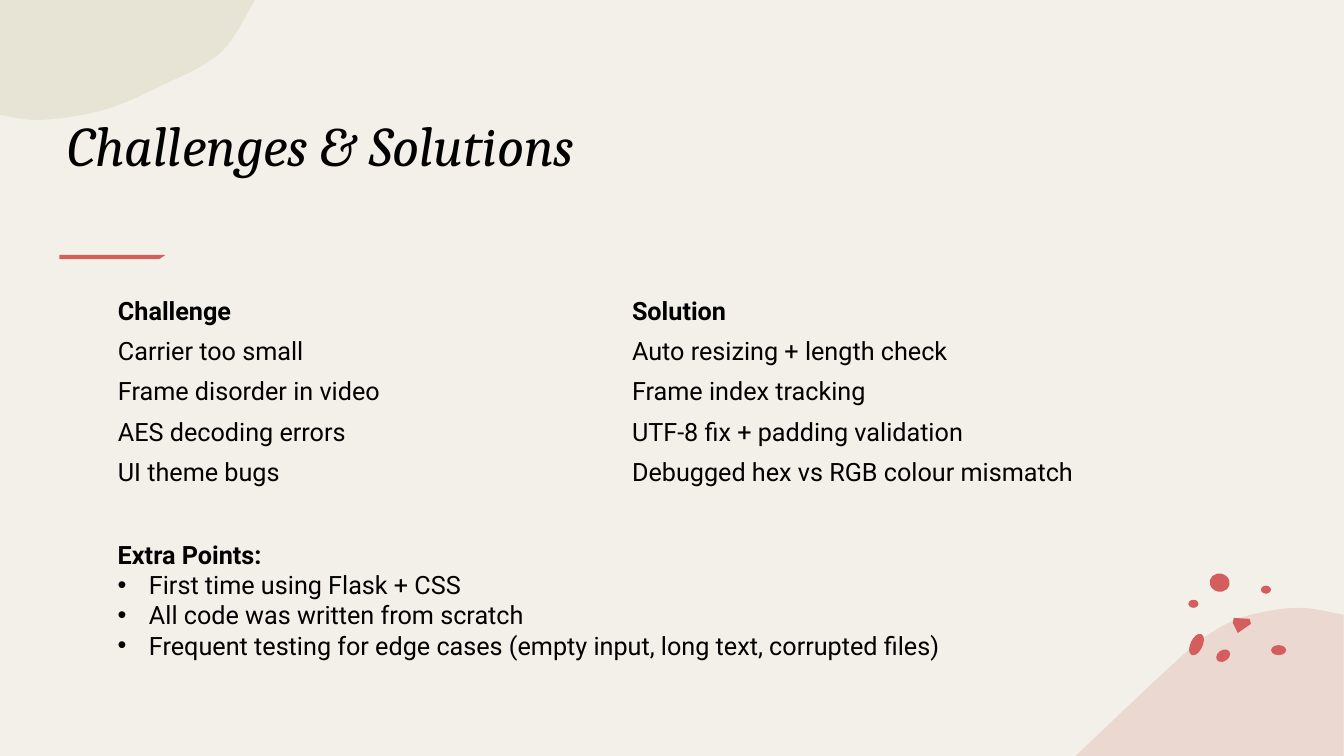
"""Build the Challenges & Solutions slide with its organic decorations."""
from lxml.etree import SubElement
from pptx import Presentation
from pptx.dml.color import RGBColor
from pptx.enum.shapes import MSO_SHAPE as Preset
from pptx.enum.text import MSO_ANCHOR as Anchor
from pptx.oxml.ns import qn
from pptx.util import Emu, Pt

PX = 9144
CURVE_STEPS = 10
CREAM = RGBColor(0xF3, 0xF0, 0xE9)
BLUSH = RGBColor(0xE5, 0xC4, 0xBA)
OLIVE = RGBColor(0xDC, 0xD9, 0xC3)
CORAL = RGBColor(0xD4, 0x5E, 0x5E)
BLACK = RGBColor(0, 0, 0)


def px(*lengths):
    return [Emu(round(length * PX)) for length in lengths]


def style(paragraph, font_name, size, bold=False, italic=False):
    font = paragraph.font
    font.name, font.size = font_name, Pt(size)
    font.bold, font.italic = bold, italic
    font.color.rgb = BLACK


prs = Presentation()
prs.slide_width, prs.slide_height = Emu(12192000), Emu(6858000)
slide = prs.slides.add_slide(prs.slide_layouts[6])
slide.background.fill.solid()
slide.background.fill.fore_color.rgb = CREAM

washes = [
    (BLUSH, (1333, 750), [(1067, 750), (1169, 654), (1203, 627), (1237, 611),
                          (1288, 603), (1333, 610)]),
    (OLIVE, (0, 0), [(253, 0), (218, 53), (158, 86), (103, 109), (41, 119), (0, 114)]),
]
decorations = []
for color, corner, knots in washes:
    outline = [corner, knots[0]]
    padded = [knots[0], *knots, knots[-1]]
    for before, start, end, after in zip(padded, padded[1:], padded[2:], padded[3:]):
        for step in range(1, CURVE_STEPS + 1):
            t = step / CURVE_STEPS
            outline.append([
                b + t / 2 * (c - a + t * (2 * a - 5 * b + 4 * c - d + t * (3 * b - a - 3 * c + d)))
                for a, b, c, d in zip(before, start, end, after)])
    decorations.append((color, outline))
decorations.append((CORAL, [(1224, 613), (1240, 614), (1241, 619), (1228, 628), (1223, 618)]))
decorations.append((CORAL, [(59, 253), (164, 253), (158, 257), (59, 257)]))

painted = []
for color, outline in decorations:
    builder = slide.shapes.build_freeform(*px(*outline[0]), scale=1.0)
    builder.add_line_segments([px(*point) for point in outline[1:]], close=True)
    painted.append((builder.convert_to_shape(), color))

speckles = [
    (1206, 645, 15, 11, -35), (1181, 628, 12, 23, 25), (1261, 640, 15, 10, 0),
    (1200, 569, 20, 18, 15), (1251, 581, 10, 8, 0), (1179, 595, 10, 8, 0),
]
for *box, angle in speckles:
    speckle = slide.shapes.add_shape(Preset.OVAL, *px(*box))
    speckle.rotation = angle
    painted.append((speckle, CORAL))

for decoration, color in painted:
    decoration.shadow.inherit = False
    decoration.line.fill.background()
    decoration.fill.solid()
    decoration.fill.fore_color.rgb = color
    if color != CORAL:
        wash_color = decoration._element.spPr.find(qn("a:solidFill"))[0]
        SubElement(wash_color, qn("a:alpha"), val="50000")

title = slide.shapes.add_textbox(*px(57, 36, 1102, 145)).text_frame
title.word_wrap = True
title.vertical_anchor = Anchor.BOTTOM
title.text = "Challenges & Solutions"
style(title.paragraphs[0], "Cambria", 40, italic=True)

pairs = [
    ("Challenge", "Solution"),
    ("Carrier too small", "Auto resizing + length check"),
    ("Frame disorder in video", "Frame index tracking"),
    ("AES decoding errors", "UTF-8 fix + padding validation"),
    ("UI theme bugs", "Debugged hex vs RGB colour mismatch"),
]
table = slide.shapes.add_table(len(pairs), 2, *px(107, 289, 990, 195)).table
table.horz_banding = False
table._tbl.tblPr.find(qn("a:tableStyleId")).text = "{2D5ABB26-0587-4C30-8999-92F81FD0307C}"
table.columns[0].width, table.columns[1].width = px(510, 480)
for row, pair in enumerate(pairs):
    for column, wording in enumerate(pair):
        cell = table.cell(row, column)
        cell.text = wording
        cell.fill.background()
        cell.vertical_anchor = Anchor.MIDDLE
        style(cell.text_frame.paragraphs[0], "Roboto", 18, bold=row == 0)

extra_points = [
    "Extra Points:",
    "First time using Flask + CSS",
    "All code was written from scratch",
    "Frequent testing for edge cases (empty input, long text, corrupted files)",
]
extras = slide.shapes.add_textbox(*px(107, 530, 883, 131)).text_frame
extras.word_wrap = True
extras.text = "\n".join(extra_points)
indent = px(31)[0]
for index, point in enumerate(extras.paragraphs):
    style(point, "Roboto", 18, bold=index == 0)
    if index:
        properties = point._p.get_or_add_pPr()
        properties.set("marL", str(indent))
        properties.set("indent", str(-indent))
        bullet_font = properties.makeelement(qn("a:buFont"), {"typeface": "Arial"})
        bullet = properties.makeelement(qn("a:buChar"), {"char": "•"})
        properties.insert(0, bullet_font)
        properties.insert(1, bullet)

prs.save("out.pptx")
